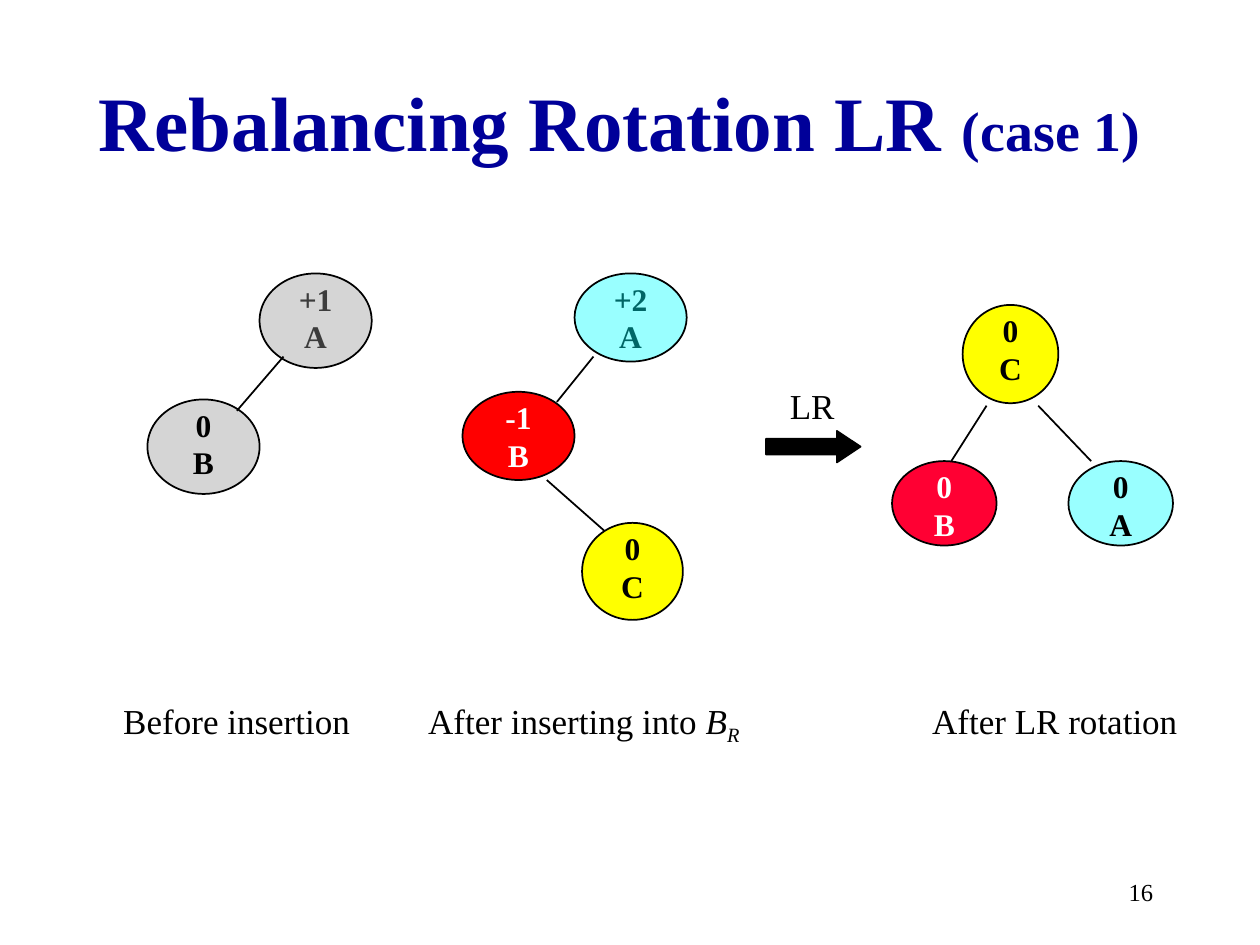
from lxml.etree import SubElement
from pptx import Presentation
from pptx.dml.color import RGBColor
from pptx.enum.shapes import MSO_CONNECTOR, MSO_SHAPE
from pptx.enum.text import MSO_ANCHOR, PP_ALIGN
from pptx.oxml.ns import qn
from pptx.util import Inches, Pt

FONT = "Times New Roman"
BLACK, WHITE, NAVY = "000000", "FFFFFF", "000099"
GRAY, CYAN, YELLOW = "969696", "00FFFF", "FFFF00"
LABEL_WIDTH, LABEL_HEIGHT = 0.74, 0.7
CAPTION_TOP = 5.5


def color(hex_code):
    return RGBColor.from_string(hex_code)


def add_text(page, left, top, width, height, text, size, hex_code=BLACK,
             bold=False, align=PP_ALIGN.LEFT, anchor=MSO_ANCHOR.TOP):
    """Add a one-paragraph text box and return the paragraph."""
    box = page.shapes.add_textbox(Inches(left), Inches(top), Inches(width), Inches(height))
    frame = box.text_frame
    frame.word_wrap = True
    frame.vertical_anchor = anchor
    para = frame.paragraphs[0]
    para.text = text
    para.alignment = align
    para.font.name = FONT
    para.font.size = Pt(size)
    para.font.bold = bold
    para.font.color.rgb = color(hex_code)
    return para


def add_span(para, text):
    span = para.add_run()
    span.text = text
    return span


def add_filled_shape(page, kind, left, top, width, height, fill, opacity=100):
    shape = page.shapes.add_shape(kind, Inches(left), Inches(top), Inches(width), Inches(height))
    shape.shadow.inherit = False
    shape.fill.solid()
    shape.fill.fore_color.rgb = color(fill)
    shape.line.color.rgb = color(BLACK)
    shape.line.width = Pt(1)
    if opacity < 100:
        tint = shape._element.spPr.find(qn("a:solidFill"))[0]
        SubElement(tint, qn("a:alpha")).set("val", str(opacity * 1000))
    return shape


def add_node(page, left, top, width, height, balance, name, fill,
             opacity=100, text_color=BLACK, label_behind=False):
    """Add a tree node: an ellipse with its balance factor over its name."""
    def add_label():
        label_left = left + (width - LABEL_WIDTH) / 2
        add_text(page, label_left, top, LABEL_WIDTH, LABEL_HEIGHT,
                 f"{balance}\v{name}", 18, text_color, True, PP_ALIGN.CENTER)

    if label_behind:
        add_label()
    add_filled_shape(page, MSO_SHAPE.OVAL, left, top, width, height, fill, opacity)
    if not label_behind:
        add_label()


def add_edge(page, x1, y1, x2, y2):
    edge = page.shapes.add_connector(
        MSO_CONNECTOR.STRAIGHT, Inches(x1), Inches(y1), Inches(x2), Inches(y2))
    edge.line.color.rgb = color(BLACK)
    edge.line.width = Pt(1)
    SubElement(edge._element.spPr, qn("a:effectLst"))


def add_tree_before(page):
    add_node(page, 2.06, 2.17, 0.89, 0.75, "+1", "A", GRAY, 40, label_behind=True)
    add_node(page, 1.17, 3.17, 0.89, 0.75, "0", "B", GRAY, 40)
    add_edge(page, 2.25, 2.83, 1.88, 3.26)
    add_text(page, 0.88, CAPTION_TOP, 2, 0.43, "Before insertion", 20)


def add_tree_inserted(page):
    add_node(page, 4.56, 2.17, 0.89, 0.7, "+2", "A", CYAN, 40, label_behind=True)
    add_node(page, 3.67, 3.11, 0.89, 0.7, "-1", "B", "FF0000", text_color=WHITE)
    add_edge(page, 4.71, 2.83, 4.42, 3.19)
    add_edge(page, 4.34, 3.81, 4.85, 4.26)
    add_node(page, 4.62, 4.15, 0.8, 0.77, "0", "C", YELLOW)
    caption = add_text(page, 3.3, CAPTION_TOP, 2.83, 0.43, "After inserting into ", 20)
    add_span(caption, "B").font.italic = True
    subscript = add_span(caption, "R")
    subscript.font.italic = True
    subscript._r.get_or_add_rPr().set("baseline", "-25000")


def add_rotation_arrow(page):
    arrow = add_filled_shape(page, MSO_SHAPE.RIGHT_ARROW, 6.08, 3.42, 0.75, 0.25, BLACK)
    arrow.adjustments[0] = 0.5
    arrow.adjustments[1] = 0.75
    add_text(page, 6.17, 3, 0.58, 0.43, "LR", 20)


def add_tree_rotated(page):
    add_node(page, 8.48, 3.66, 0.83, 0.67, "0", "A", CYAN, 40)
    add_node(page, 7.08, 3.66, 0.83, 0.67, "0", "B", "FF0033", text_color=WHITE)
    add_edge(page, 7.83, 3.22, 7.55, 3.66)
    add_edge(page, 8.24, 3.22, 8.66, 3.66)
    add_node(page, 7.64, 2.42, 0.76, 0.78, "0", "C", YELLOW)
    add_text(page, 7.3, CAPTION_TOP, 2.33, 0.43, "After LR rotation", 20)


def main():
    deck = Presentation()
    deck.slide_width, deck.slide_height = Inches(10), Inches(7.5)
    page = deck.slides.add_slide(deck.slide_layouts[6])

    # Title and page number
    title = add_text(page, 0.67, 0.33, 8.5, 1.25, "Rebalancing Rotation LR ", 44,
                     NAVY, True, PP_ALIGN.CENTER, MSO_ANCHOR.MIDDLE)
    add_span(title, "(case 1)").font.size = Pt(32)
    add_text(page, 7.17, 6.83, 2.08, 0.5, "16", 14,
             align=PP_ALIGN.RIGHT, anchor=MSO_ANCHOR.MIDDLE)

    # Three stages of the tree, left to right
    add_tree_before(page)
    add_tree_inserted(page)
    add_rotation_arrow(page)
    add_tree_rotated(page)

    deck.save("out.pptx")


if __name__ == "__main__":
    main()
